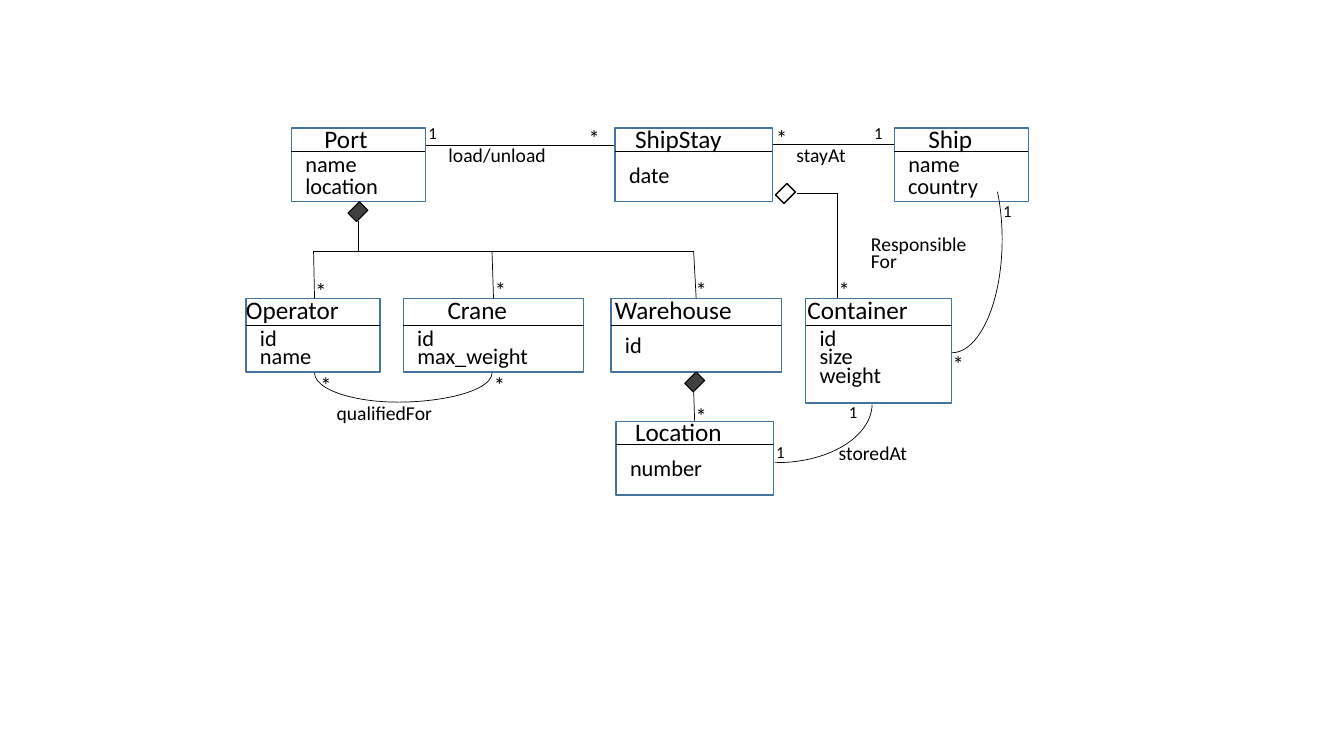
from lxml.etree import SubElement
from pptx import Presentation
from pptx.dml.color import RGBColor
from pptx.enum.shapes import MSO_CONNECTOR, MSO_SHAPE
from pptx.enum.text import MSO_ANCHOR, MSO_AUTO_SIZE
from pptx.oxml.ns import qn
from pptx.util import Inches, Pt

COLORS = {"ink": "000000", "edge": "43739E", "dark": "404040"}

# Width of each attribute's text box
WIDTHS = {"name": 0.72, "location": 0.93, "date": 0.61, "country": 0.9, "id": 0.37,
          "max_weight": 1.31, "size": 0.54, "weight": 0.82, "number": 0.92}

# Name, box, title (left offset, width), attributes
TOP = [
    ("Port", (2.89, 1.27, 1.33, 0.73), (0.23, 1.16), ["name", "location"]),
    ("ShipStay", (6.1, 1.27, 1.56, 0.73), (0.1, 1.44), ["date"]),
    ("Ship", (8.87, 1.27, 1.33, 0.73), (0.24, 1.16), ["name", "country"]),
    ("Location", (6.11, 4.18, 1.56, 0.73), (0.09, 1.44), ["number"]),
]
MIDDLE = [
    ("Operator", (2.44, 2.96, 1.33, 0.73), (-0.1, 1.55), ["id", "name"]),
    ("Crane", (4, 2.96, 1.79, 0.73), (0.34, 1.22), ["id", "max_weight"]),
    ("Warehouse", (6.06, 2.96, 1.69, 0.73), (-0.06, 1.92), ["id"]),
    ("Container", (7.99, 2.96, 1.45, 1.04), (-0.08, 1.78), ["id", "size", "weight"]),
]
# Offsets from the box top: title, rule, first attribute, attribute step
TOP_ROWS = (-0.1, 0.23, 0.17, 0.22)
MIDDLE_ROWS = (-0.09, 0.27, 0.21, 0.18)

STARS = [(5.74, 1.18), (7.6, 1.18), (3.03, 2.7), (4.81, 2.69), (6.8, 2.69),
         (8.22, 2.69), (9.35, 3.42), (6.8, 3.94), (3.08, 3.63), (4.8, 3.63)]
ONES = [(4.15, 1.17), (8.57, 1.17), (9.85, 1.94), (7.6, 4.33), (8.32, 3.94)]
ROLES = [("load/unload", 4.35, 1.37, 1.67), ("stayAt", 7.8, 1.37, 1.05),
         ("storedAt", 8.22, 4.33, 1.27), ("qualifiedFor", 3.24, 3.93, 1.56),
         ("Responsible", 8.54, 2.25, 1.61), ("For", 8.54, 2.42, 0.67)]

# Links between classes; the last item is the class whose top is joined
LINKS = [
    (4.23, 1.44, 6.09, 1.44, None), (7.67, 1.43, 8.87, 1.43, None),
    (3.55, 2.19, 3.55, 2.49, None), (3.11, 2.49, 6.88, 2.49, None),
    (3.11, 2.49, 3.12, 2.96, None), (4.88, 2.5, 4.89, 2.96, "Crane"),
    (6.88, 2.5, 6.89, 2.96, "Warehouse"), (6.88, 3.88, 6.89, 4.18, "Location"),
    (7.9, 1.92, 8.3, 1.92, None), (8.31, 1.91, 8.31, 2.96, None),
]
DIAMONDS = [(3.49, 2.02, "dark", 0.75), (6.83, 3.71, "dark", 0.75),
            (7.73, 1.84, None, 1)]
# Box, flips, angles
ARCS = [
    ((6.76, 3.42, 1.89, 1.17), ["flipV"], (160.72, 215.65)),
    ((8.94, 1.25, 1, 2.25), ["flipV"], (162, 27.66)),
    ((2.99, 3.41, 1.89, 0.58), ["flipV"], (162, 0)),
    ((3.12, 3.41, 1.66, 0.58), ["flipH", "flipV"], (162, 0)),
]


def color(name):
    return RGBColor.from_string(COLORS[name])


def add_text(slide, text, left, top, width, size, wrap=True, anchor=MSO_ANCHOR.TOP):
    height = round(size * 1.2 / 72 + 0.1, 2)
    box = slide.shapes.add_textbox(*map(Inches, (left, top, width, height)))
    frame = box.text_frame
    frame.word_wrap = wrap
    frame.auto_size = MSO_AUTO_SIZE.SHAPE_TO_FIT_TEXT
    frame.vertical_anchor = anchor
    line = frame.paragraphs[0]
    line.text = text
    line.font.name = "Calibri"
    line.font.size = Pt(size)
    line.font.color.rgb = color("ink")


def add_line(slide, x1, y1, x2, y2):
    line = slide.shapes.add_connector(MSO_CONNECTOR.STRAIGHT,
                                      *map(Inches, (x1, y1, x2, y2)))
    line.line.color.rgb = color("ink")
    line.line.width = Pt(0.5)
    SubElement(line._element.spPr, qn("a:effectLst"))
    return line


def add_form(slide, kind, box, edge, width, fill=None):
    form = slide.shapes.add_shape(kind, *map(Inches, box))
    form.shadow.inherit = False
    if fill:
        form.fill.solid()
        form.fill.fore_color.rgb = color(fill)
    else:
        form.fill.background()
    form.line.color.rgb = color(edge)
    form.line.width = Pt(width)
    return form


def add_class(slide, name, box, title, items, rows):
    left, top, width, _ = box
    head, rule, first, step = rows
    form = add_form(slide, MSO_SHAPE.RECTANGLE, box, "edge", 1)
    add_text(slide, name, left + title[0], top + head, title[1], 18,
             anchor=MSO_ANCHOR.MIDDLE)
    add_line(slide, left, top + rule, left + width, top + rule)
    if len(items) == 1:
        first = 0.28
    for i, item in enumerate(items):
        add_text(slide, item, left + 0.04, top + first + i * step, WIDTHS[item], 16,
                 wrap=False)
    return form


def add_links(slide, forms):
    for *ends, name in LINKS:
        line = add_line(slide, *ends)
        if name:
            line.end_connect(forms[name], 0)
    for left, top, fill, width in DIAMONDS:
        box = (left, top, 0.12, 0.16)
        add_form(slide, MSO_SHAPE.RECTANGLE, box, "ink", width, fill).rotation = 45
    for box, flips, angles in ARCS:
        arc = add_form(slide, MSO_SHAPE.ARC, box, "ink", 0.5)
        arc.adjustments[0], arc.adjustments[1] = angles
        for flip in flips:
            arc._element.spPr.find(qn("a:xfrm")).set(flip, "1")


def add_labels(slide):
    for left, top in STARS:
        add_text(slide, "*", left, top, 0.31, 16, wrap=False)
    for left, top in ONES:
        add_text(slide, "1", left, top, 0.29, 12, wrap=False)
    for text, left, top, width in ROLES:
        add_text(slide, text, left, top, width, 14)


def main():
    deck = Presentation()
    deck.slide_width, deck.slide_height = Inches(13.33), Inches(7.5)
    slide = deck.slides.add_slide(deck.slide_layouts[6])

    # Classes
    forms = {}
    for group, rows in ((TOP, TOP_ROWS), (MIDDLE, MIDDLE_ROWS)):
        for name, box, title, items in group:
            forms[name] = add_class(slide, name, box, title, items, rows)

    # Associations and their labels
    add_links(slide, forms)
    add_labels(slide)
    deck.save("out.pptx")


if __name__ == "__main__":
    main()
